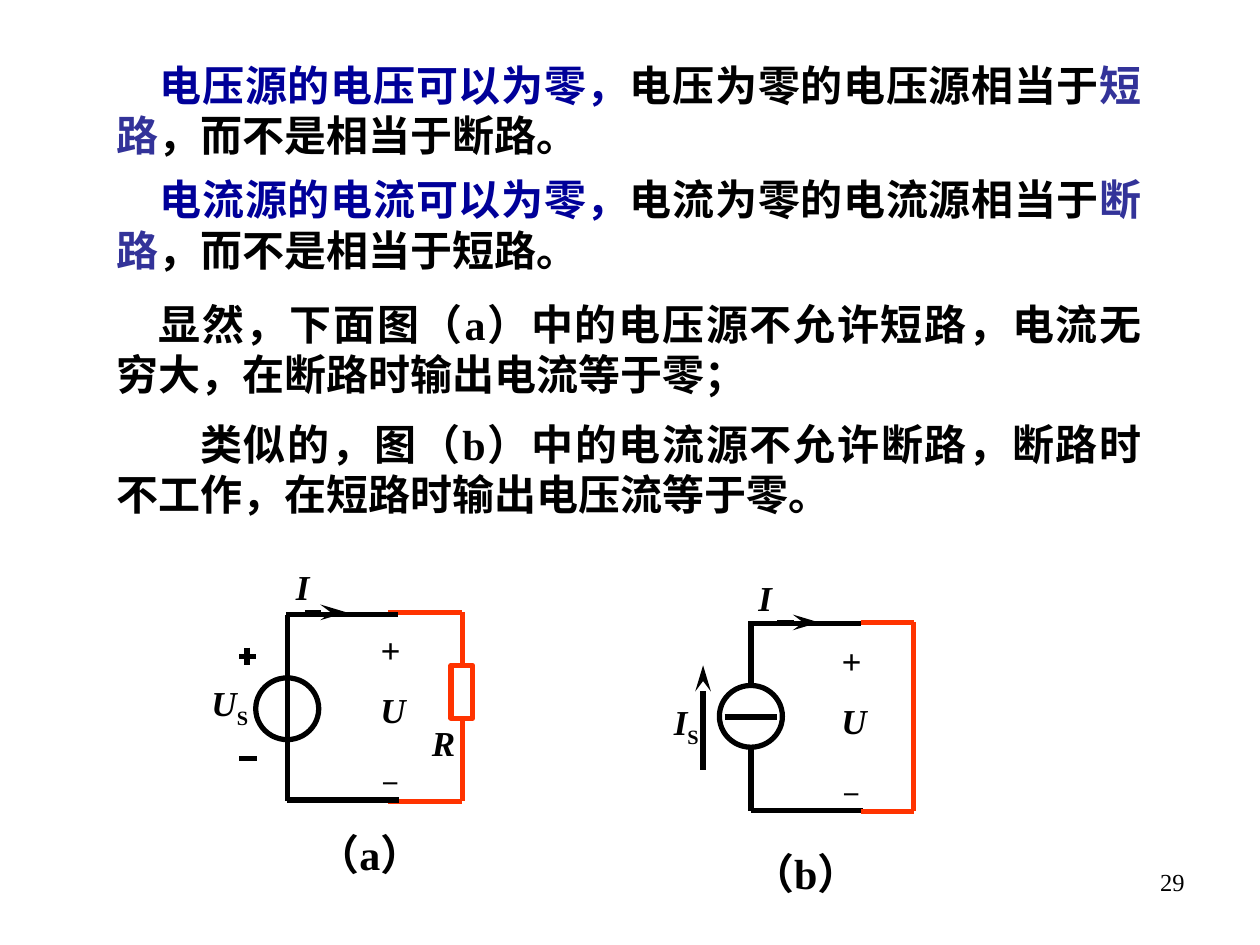
from typing import NamedTuple

from lxml import etree
from pptx import Presentation
from pptx.dml.color import RGBColor
from pptx.enum.shapes import MSO_CONNECTOR, MSO_SHAPE
from pptx.enum.text import PP_ALIGN
from pptx.oxml.ns import qn
from pptx.util import Inches, Pt

BLACK = RGBColor(0x00, 0x00, 0x00)
WHITE = RGBColor(0xFF, 0xFF, 0xFF)
NAVY = RGBColor(0x00, 0x00, 0x99)
INDIGO = RGBColor(0x33, 0x33, 0x99)
RED = RGBColor(0xFF, 0x33, 0x00)
LEFT, RIGHT, JUSTIFY = PP_ALIGN.LEFT, PP_ALIGN.RIGHT, PP_ALIGN.JUSTIFY
STRAIGHT = MSO_CONNECTOR.STRAIGHT
OVAL, RECTANGLE = MSO_SHAPE.OVAL, MSO_SHAPE.RECTANGLE
FONT = "Times New Roman"
LINE_WIDTH = Pt(3)


class Run(NamedTuple):
    text: str
    color: RGBColor = BLACK
    italic: bool = False
    subscript: bool = False


class Paragraph(NamedTuple):
    runs: list[Run]
    indent: float = 0


class Wire(NamedTuple):
    x1: float
    y1: float
    x2: float
    y2: float
    color: RGBColor = BLACK
    arrow: bool = False


class Symbol(NamedTuple):
    kind: MSO_SHAPE
    left: float
    top: float
    width: float
    height: float
    color: RGBColor = BLACK


class Label(NamedTuple):
    left: float
    top: float
    width: float
    height: float
    paragraphs: list[Paragraph]


def add_text(slide, box: Label, *, size: float = 20, bold: bool = True,
             align: PP_ALIGN = LEFT, space: float = 10) -> None:
    shape = slide.shapes.add_textbox(*(Inches(length) for length in box[:4]))
    frame = shape.text_frame
    frame.word_wrap = True
    for index, content in enumerate(box.paragraphs):
        paragraph = frame.add_paragraph() if index else frame.paragraphs[0]
        paragraph.alignment = align
        if index:
            paragraph.space_before = Pt(space)
        if content.indent:
            properties = paragraph._p.get_or_add_pPr()
            properties.set("marL", "0")
            properties.set("indent", str(Inches(content.indent)))
        for item in content.runs:
            run = paragraph.add_run()
            run.text = item.text
            run.font.name = FONT
            run.font.size = Pt(size)
            run.font.bold = bold
            run.font.italic = item.italic
            run.font.color.rgb = item.color
            if item.subscript:
                run._r.get_or_add_rPr().set("baseline", "-25000")


def add_wire(slide, wire: Wire) -> None:
    ends = (Inches(length) for length in wire[:4])
    connector = slide.shapes.add_connector(STRAIGHT, *ends)
    connector.line.color.rgb = wire.color
    connector.line.width = LINE_WIDTH
    if wire.arrow:
        etree.SubElement(connector.line._get_or_add_ln(), qn("a:tailEnd"),
                         type="stealth", w="med", len="lg")
    etree.SubElement(connector._element.spPr, qn("a:effectLst"))


def add_symbol(slide, symbol: Symbol) -> None:
    bounds = (Inches(length) for length in symbol[1:5])
    shape = slide.shapes.add_shape(symbol.kind, *bounds)
    shape.shadow.inherit = False
    shape.fill.solid()
    shape.fill.fore_color.rgb = WHITE
    shape.line.color.rgb = symbol.color
    shape.line.width = LINE_WIDTH


def quantity(name: str, subscript: str = "") -> list[Paragraph]:
    runs = [Run(name, italic=True)]
    if subscript:
        runs.append(Run(subscript, subscript=True))
    return [Paragraph(runs)]


def statement(opening: str, middle: str, state: str, ending: str) -> list[Paragraph]:
    return [Paragraph([Run(opening, NAVY), Run(middle), Run(state, INDIGO),
                       Run(ending)], indent=0.34)]


VOLTAGE = [
    *quantity("+"),
    *quantity("U"),
    Paragraph([Run("－", subscript=True)]),
]

BODY = [
    Label(0.83, 0.42, 8.33, 0.91, statement(
        "电压源的电压可以为零，", "电压为零的电压源相当于", "短路", "，而不是相当于断路。")),
    Label(0.83, 1.33, 8.33, 0.91, statement(
        "电流源的电流可以为零，", "电流为零的电流源相当于", "断路", "，而不是相当于短路。")),
    Label(0.83, 2.32, 8.33, 1.92, [
        Paragraph([Run("显然，下面图（a）中的电压源不允许短路，电流无穷大，"
                       "在断路时输出电流等于零；")], indent=0.33),
        Paragraph([Run("类似的，图（b）中的电流源不允许断路，断路时不工作，"
                       "在短路时输出电压流等于零。")], indent=0.66),
    ]),
]

CURRENT_SOURCE = [
    Wire(5.96, 4.97, 5.96, 6.44),
    Symbol(OVAL, 5.71, 5.44, 0.5, 0.49),
    Wire(5.94, 4.95, 6.83, 4.95),
    Wire(5.96, 6.43, 6.85, 6.43),
    Wire(6.17, 4.94, 6.5, 4.94, arrow=True),
    Wire(5.75, 5.69, 6.17, 5.69),
    Wire(5.58, 6.11, 5.58, 5.28, arrow=True),
    Wire(6.83, 4.94, 7.25, 4.94, RED),
    Wire(6.83, 6.44, 7.25, 6.44, RED),
    Wire(7.25, 4.94, 7.25, 6.44, RED),
]

VOLTAGE_SOURCE = [
    Wire(3.08, 4.86, 3.67, 4.86, RED),
    Wire(3.08, 6.36, 3.67, 6.36, RED),
    Wire(3.67, 4.86, 3.67, 6.36, RED),
    Symbol(RECTANGLE, 3.58, 5.28, 0.17, 0.42, RED),
    Symbol(OVAL, 2.03, 5.38, 0.5, 0.49),
    Wire(2.28, 4.88, 2.28, 6.36),
    Wire(1.9, 5.21, 2.03, 5.21),
    Wire(1.96, 5.14, 1.96, 5.28),
    Wire(1.9, 6.02, 2.04, 6.02),
    Wire(2.27, 4.88, 3.16, 4.88),
    Wire(2.28, 6.35, 3.17, 6.35),
    Wire(2.42, 4.86, 2.75, 4.86, arrow=True),
]

CIRCUIT_LABELS = [
    Label(6.58, 5.03, 0.58, 1.28, VOLTAGE),
    Label(5.92, 4.53, 0.5, 0.43, quantity("I")),
    Label(5.25, 5.51, 1, 0.43, quantity("I", "S")),
    Label(2.92, 4.94, 0.58, 1.28, VOLTAGE),
    Label(2.25, 4.44, 0.5, 0.43, quantity("I")),
    Label(1.58, 5.36, 1, 0.43, quantity("U", "S")),
    Label(3.33, 5.68, 0.92, 0.43, quantity("R")),
]

CAPTIONS = [
    Label(5.87, 6.68, 1.45, 0.5, [Paragraph([Run("（b）")])]),
    Label(2.42, 6.53, 1.25, 0.5, [Paragraph([Run("（a）")])]),
]

PAGE_NUMBER = Label(7.17, 6.83, 2.33, 0.52, [Paragraph([Run("29")])])


def main() -> None:
    presentation = Presentation()
    presentation.slide_width, presentation.slide_height = Inches(10), Inches(7.5)
    slide = presentation.slides.add_slide(presentation.slide_layouts[6])
    add_text(slide, PAGE_NUMBER, size=14, bold=False, align=RIGHT)
    for box in BODY:
        add_text(slide, box, size=24, align=JUSTIFY, space=11)
    for part in CURRENT_SOURCE + VOLTAGE_SOURCE:
        if isinstance(part, Wire):
            add_wire(slide, part)
        else:
            add_symbol(slide, part)
    for label in CIRCUIT_LABELS:
        add_text(slide, label)
    for caption in CAPTIONS:
        add_text(slide, caption, size=24)
    presentation.save("out.pptx")


if __name__ == "__main__":
    main()
